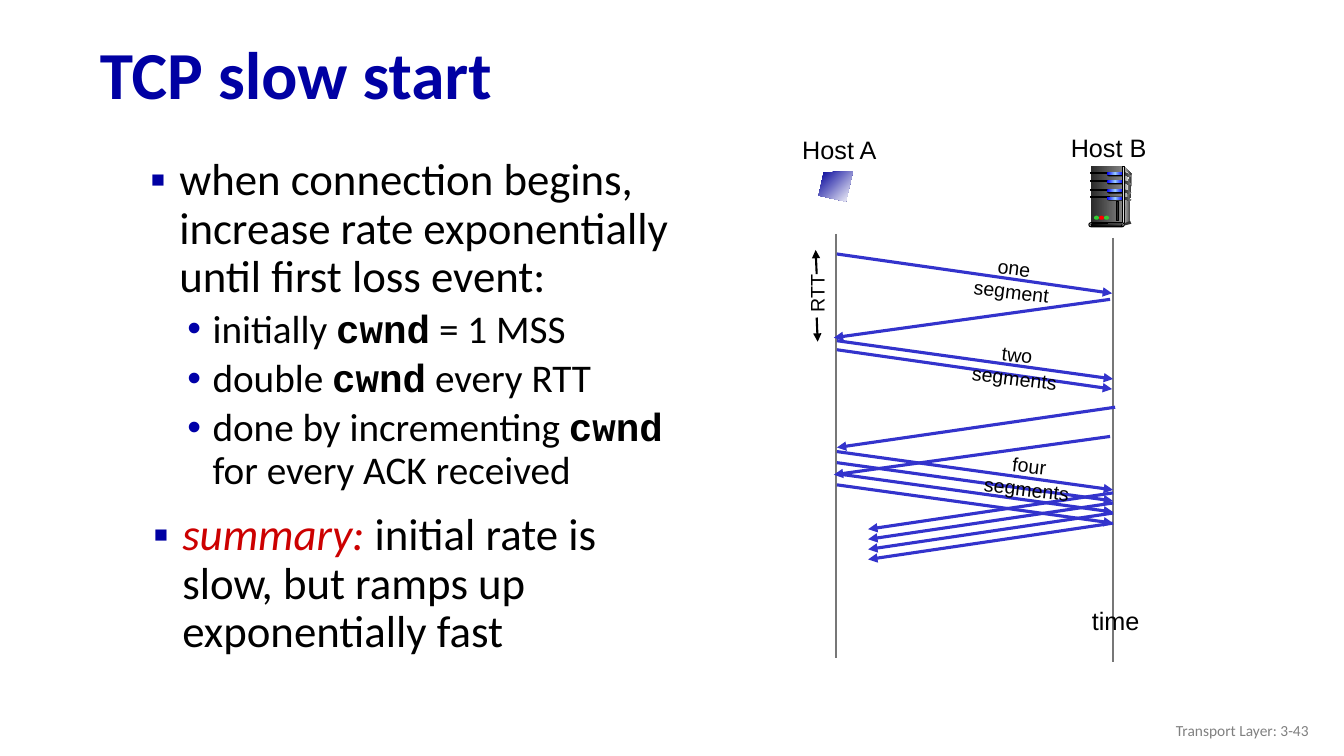
from dataclasses import dataclass

import lxml.etree
import pptx
import pptx.dml.color
import pptx.enum.shapes
import pptx.enum.text
import pptx.oxml
import pptx.oxml.ns
import pptx.util

Inches = pptx.util.Inches
Pt = pptx.util.Pt
qn = pptx.oxml.ns.qn
Shape = pptx.enum.shapes.MSO_SHAPE
Align = pptx.enum.text.PP_ALIGN
Anchor = pptx.enum.text.MSO_ANCHOR

COLORS = {
    "title": "0000A3", "sub_bullet": "0000A8", "black": "000000", "summary": "CC0000",
    "message": "3333CC", "timeline": "777777", "footer": "808080", "gray": "808080",
    "charcoal": "292929", "dark": "333333", "silver": "DDDDDD", "pale": "F8F8F8",
    "blue": "0000FF", "sky": "99CCFF", "navy": "000099", "white": "FFFFFF",
    "green": "33CC33", "red": "FF0000",
}


@dataclass(frozen=True)
class Span:
    text: str
    font: str = "Calibri"
    bold: bool = False
    italic: bool = False
    color: str = "black"


@dataclass(frozen=True)
class Bullet:
    spans: tuple[Span, ...]
    level: int = 0


@dataclass(frozen=True)
class Label:
    text: str
    at: tuple[float, float, float, float]
    size: int = 18
    rotation: float = 0
    wrap: bool = False


@dataclass(frozen=True)
class Arrow:
    start: tuple[float, float]
    end: tuple[float, float]
    color: str = "message"
    width: float = 2.25
    head: bool = True


@dataclass(frozen=True)
class Part:
    kind: Shape
    at: tuple[float, float, float, float]
    fill: tuple[str, ...]
    outlined: bool = False


@dataclass(frozen=True)
class Outline:
    points: tuple[tuple[float, float], ...]
    fill: tuple[str, ...]
    angle: int = 0


def rgb(name: str) -> pptx.dml.color.RGBColor:
    return pptx.dml.color.RGBColor.from_string(COLORS[name])


def add_span(para, text: str, *, size: float, font: str = "Calibri", color: str = "black",
             bold: bool = False, italic: bool = False) -> None:
    span = para.add_run()
    span.text = text
    span.font.size, span.font.name = Pt(size), font
    span.font.bold, span.font.italic = bold, italic
    span.font.color.rgb = rgb(color)


def add_box(slide, at: tuple[float, ...], wrap: bool = True):
    box = slide.shapes.add_textbox(*map(Inches, at))
    box.text_frame.word_wrap = wrap
    return box


def add_bullets(slide, at: tuple[float, ...], bullets: tuple[Bullet, ...]) -> None:
    frame = add_box(slide, at).text_frame
    styles = ((0.43, -0.29, 10, 32, "▪", "title"), (0.76, -0.25, 5, 28, "•", "sub_bullet"))
    for index, bullet in enumerate(bullets):
        margin, indent, before, size, mark, color = styles[bullet.level]
        para = frame.paragraphs[0] if index == 0 else frame.add_paragraph()
        para.level, para.line_spacing = bullet.level, 0.9
        para.space_before = Pt(before if index else 0)
        properties = para._p.get_or_add_pPr()
        properties.set("marL", str(Inches(margin)))
        properties.set("indent", str(Inches(indent)))
        tint = lxml.etree.SubElement(properties, qn("a:buClr"))
        lxml.etree.SubElement(tint, qn("a:srgbClr"), val=COLORS[color])
        lxml.etree.SubElement(properties, qn("a:buFont"), typeface="Arial")
        lxml.etree.SubElement(properties, qn("a:buChar"), char=mark)
        for span in bullet.spans:
            add_span(para, span.text, size=size, font=span.font, color=span.color,
                     bold=span.bold, italic=span.italic)


def add_label(slide, label: Label) -> None:
    box = add_box(slide, label.at, label.wrap)
    box.rotation = label.rotation
    para = box.text_frame.paragraphs[0]
    para.alignment = Align.CENTER
    add_span(para, label.text, size=label.size, font="Arial")


def add_arrow(slide, arrow: Arrow) -> None:
    line = slide.shapes.add_connector(pptx.enum.shapes.MSO_CONNECTOR.STRAIGHT,
                                      *map(Inches, arrow.start + arrow.end))
    line.line.color.rgb, line.line.width = rgb(arrow.color), Pt(arrow.width)
    if arrow.head:
        lxml.etree.SubElement(line.line._get_or_add_ln(), qn("a:tailEnd"), type="triangle")
    lxml.etree.SubElement(line._element.spPr, qn("a:effectLst"))


def paint(shape, fill: tuple[str, ...], angle: int = 0, outlined: bool = False) -> None:
    """One colour gives a solid fill, several give an even gradient."""
    shape.shadow.inherit = False
    if len(fill) == 1:
        shape.fill.solid()
        shape.fill.fore_color.rgb = rgb(fill[0])
    else:
        shape.fill.gradient()
        shape.fill.gradient_angle = (360 - angle) % 360
        stops = shape._element.spPr.find(".//" + qn("a:gsLst"))
        for stop in list(stops):
            stops.remove(stop)
        for index, name in enumerate(fill):
            place = str(100000 * index // (len(fill) - 1))
            stop = lxml.etree.SubElement(stops, qn("a:gs"), pos=place)
            lxml.etree.SubElement(stop, qn("a:srgbClr"), val=COLORS[name])
    if outlined:
        shape.line.color.rgb, shape.line.width = rgb("black"), Pt(0.75)
    else:
        shape.line.fill.background()


def add_part(slide, part: Part) -> None:
    shape = slide.shapes.add_shape(part.kind, *map(Inches, part.at))
    if part.kind == Shape.ROUNDED_RECTANGLE:
        shape.adjustments[0] = 0.5
    paint(shape, part.fill, outlined=part.outlined)


def add_outline(slide, outline: Outline) -> None:
    first, *rest = [(Inches(x), Inches(y)) for x, y in outline.points]
    builder = slide.shapes.build_freeform(*first)
    builder.add_line_segments(rest, close=True)
    paint(builder.convert_to_shape(), outline.fill, outline.angle)


def add_server(slide) -> None:
    rect, pill, dot = Shape.RECTANGLE, Shape.ROUNDED_RECTANGLE, Shape.OVAL
    # Cabinet
    add_outline(slide, Outline(((11.15, 1.65), (11.22, 1.72), (11.21, 2.2), (11.13, 2.22)),
                               ("silver", "dark")))
    add_part(slide, Part(rect, (10.82, 1.65, 0.31, 0.57), ("charcoal", "gray")))
    add_outline(slide, Outline(((11.15, 1.68), (11.2, 1.73), (11.16, 2.05), (11.15, 2.2)),
                               ("gray", "pale")))
    # Drive bays with their side vents
    for y in (1.71, 1.79, 1.88, 1.95):
        add_part(slide, Part(rect, (10.82, y, 0.18, 0.01), ("black",), True))
        add_part(slide, Part(pill, (10.98, y, 0.17, 0.04), ("black",)))
        add_part(slide, Part(pill, (10.98, y, 0.16, 0.03), ("blue", "sky", "blue")))
        add_outline(slide, Outline(((11.15, y), (11.22, y + 0.03), (11.21, y + 0.05),
                                    (11.15, y + 0.02)), ("charcoal", "gray")))
    # Edge, base, lamps and slot
    add_part(slide, Part(rect, (11.13, 1.65, 0.02, 0.57), ("dark", "silver", "dark"), True))
    add_outline(slide, Outline(((11.14, 2.22), (11.14, 2.24), (11.22, 2.22), (11.21, 2.19)),
                               ("dark",)))
    add_part(slide, Part(pill, (10.8, 2.21, 0.35, 0.04), ("silver",), True))
    add_part(slide, Part(pill, (10.82, 2.22, 0.31, 0.02), ("black", "gray"), True))
    for index, color in enumerate(("green", "red", "green")):
        add_part(slide, Part(dot, (10.85 + 0.05 * index, 2.14, 0.05, 0.04), (color,)))
    add_part(slide, Part(rect, (11.07, 2, 0.02, 0.19), ("charcoal",), True))


CWND = Span("cwnd", font="Courier New", bold=True)
RULES = (
    Bullet((Span("when connection begins, increase rate exponentially until first loss event:"),)),
    Bullet((Span("initially "), CWND, Span(" = 1 MSS")), 1),
    Bullet((Span("double "), CWND, Span(" every RTT")), 1),
    Bullet((Span("done by incrementing "), CWND, Span(" for every ACK received")), 1),
)
SUMMARY = (Bullet((Span("summary: ", italic=True, color="summary"),
                   Span("initial rate is slow, but ramps up exponentially fast"))),)
LABELS = (
    Label("Host A", (7.85, 1.28, 0.95, 0.4)),
    Label("Host B", (10.52, 1.26, 0.95, 0.4)),
    Label("one segment", (9.51, 2.49, 1.1, 0.33), 14, 6.8, True),
    Label("two segments", (9.54, 3.35, 1.1, 0.33), 14, 6.8, True),
    Label("four segments", (9.66, 4.45, 1.1, 0.33), 14, 6.8, True),
    Label("RTT", (7.81, 2.75, 0.58, 0.33), 14, 270),
    Label("time", (10.73, 5.96, 0.67, 0.4)),
)
ARROWS = (
    Arrow((8.29, 2.32), (8.29, 6.53), "timeline", 1.5, False),
    Arrow((11.04, 2.36), (11.04, 6.57), "timeline", 1.5, False),
    Arrow((8.1, 2.72), (8.09, 2.48), "black", 1.5),
    Arrow((8.1, 3.15), (8.11, 3.39), "black", 1.5),
    Arrow((8.3, 2.52), (11.03, 2.91)), Arrow((11.01, 2.97), (8.27, 3.35)),
    Arrow((8.3, 3.38), (11.04, 3.76)), Arrow((8.3, 3.47), (11.03, 3.86)),
    Arrow((11.06, 4.04), (8.3, 4.44)), Arrow((11.01, 4.33), (8.27, 4.71)),
    *(Arrow((8.3, 4.48 + 0.11 * i), (11.04, 4.86 + 0.11 * i)) for i in range(4)),
    *(Arrow((11.04, 4.89 + 0.1 * i), (8.61, 5.25 + 0.1 * i)) for i in range(4)),
)


def main() -> None:
    deck = pptx.Presentation()
    deck.slide_width, deck.slide_height = Inches(13.33), Inches(7.5)
    page = deck.slides.add_slide(deck.slide_layouts[5])
    # Title
    title = page.shapes.title
    title.left, title.top, title.width, title.height = map(Inches, (0.89, 0.28, 12.46, 0.98))
    title.text_frame.auto_size = pptx.enum.text.MSO_AUTO_SIZE.NONE
    title.text_frame.vertical_anchor = Anchor.MIDDLE
    para = title.text_frame.paragraphs[0]
    para.alignment, para.line_spacing = Align.LEFT, 0.9
    add_span(para, "TCP slow start", size=48, color="title", bold=True)
    # Explanation
    add_bullets(page, (1.25, 1.51, 5.6, 5.7), RULES)
    add_bullets(page, (1.28, 5.03, 5.6, 2.08), SUMMARY)
    # Sequence diagram
    for arrow in ARROWS:
        add_arrow(page, arrow)
    for label in LABELS:
        add_label(page, label)
    add_outline(page, Outline(((8.46, 1.7), (8.17, 1.71), (8.12, 1.94), (8.39, 2)),
                              ("navy", "white"), 45))
    add_server(page)
    # Footer
    footer = add_box(page, (10.08, 7.05, 3, 0.4)).text_frame
    footer.vertical_anchor = Anchor.MIDDLE
    footer.paragraphs[0].alignment = Align.RIGHT
    add_span(footer.paragraphs[0], "Transport Layer: 3-43", size=11, color="footer")
    deck.save("out.pptx")


if __name__ == "__main__":
    main()
